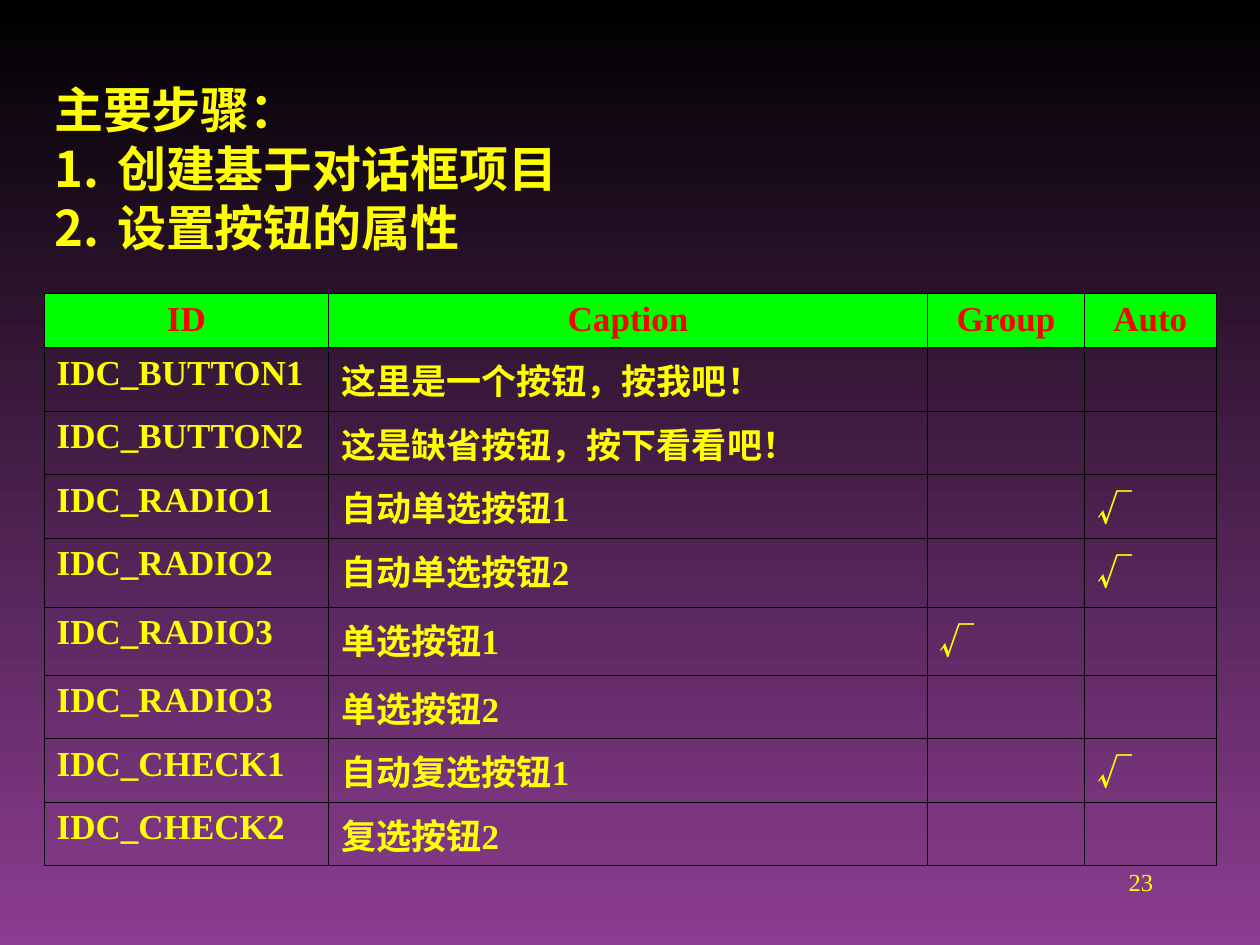
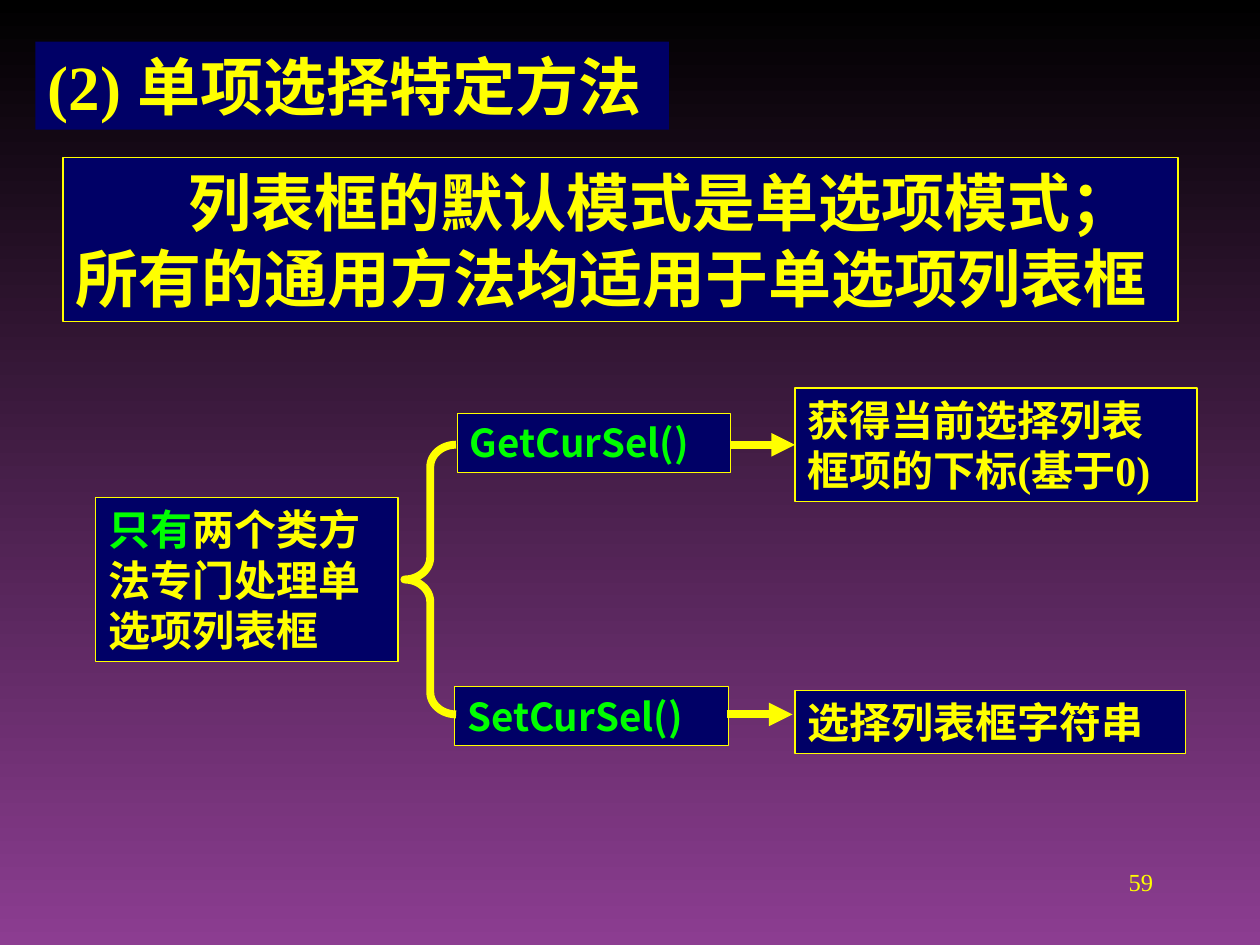
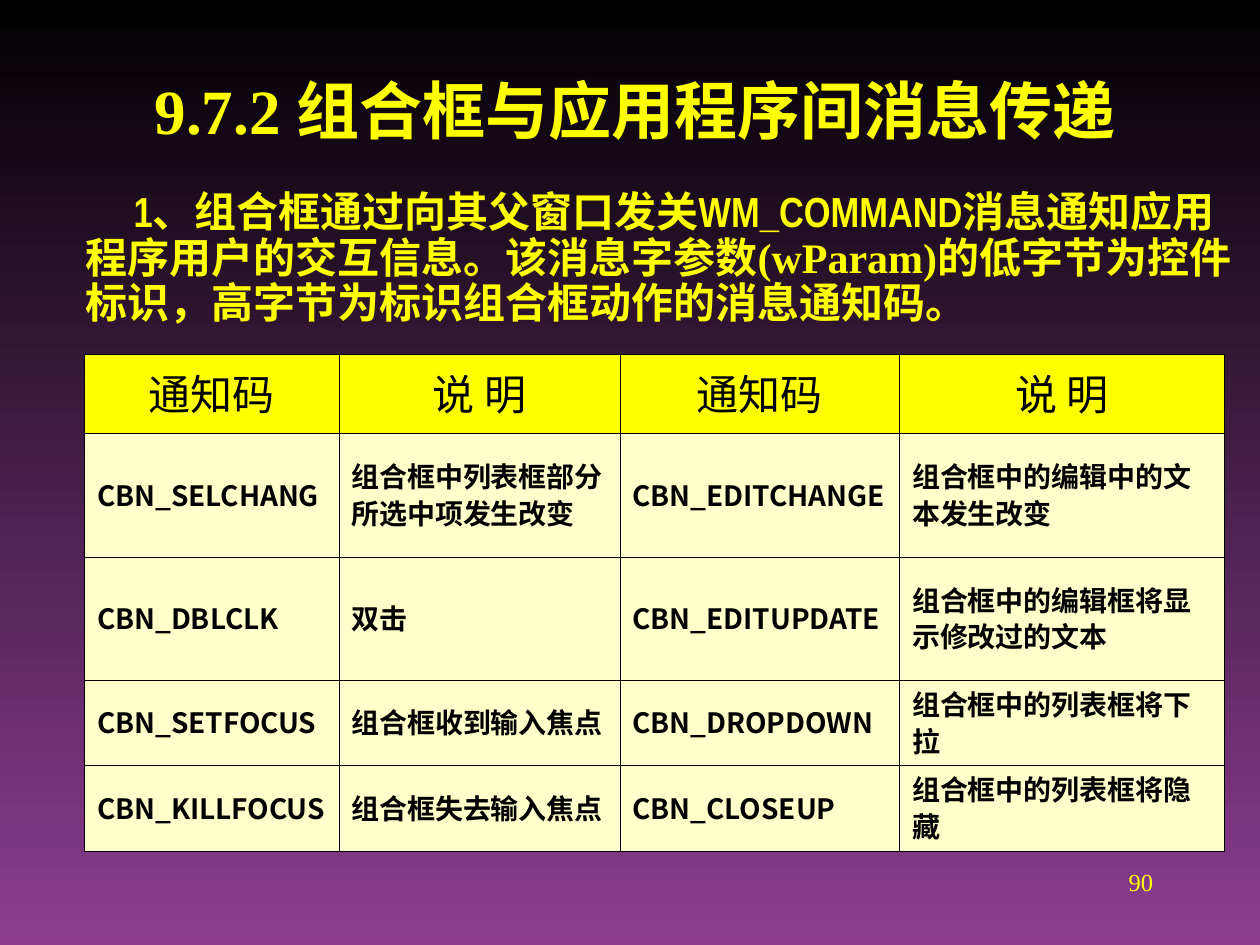
from dataclasses import dataclass

from lxml import etree
from pptx import Presentation
from pptx.dml.color import RGBColor
from pptx.enum.shapes import MSO_CONNECTOR, MSO_SHAPE
from pptx.enum.text import MSO_ANCHOR, MSO_AUTO_SIZE, PP_ALIGN
from pptx.oxml.ns import qn
from pptx.util import Inches, Pt

LEFT, CENTER, RIGHT = PP_ALIGN.LEFT, PP_ALIGN.CENTER, PP_ALIGN.RIGHT
TOP, MIDDLE = MSO_ANCHOR.TOP, MSO_ANCHOR.MIDDLE
RECT, BRACE = MSO_SHAPE.RECTANGLE, MSO_SHAPE.LEFT_BRACE
STRAIGHT = MSO_CONNECTOR.STRAIGHT
TITLE_CONTENT, TITLE_ONLY = 1, 5


@dataclass(frozen=True)
class Theme:
    black: str = "000000"
    purple: str = "8C3D91"
    yellow: str = "FFFF00"
    green: str = "00FF00"
    red: str = "FF0000"
    navy: str = "000066"
    cream: str = "FFFFCC"
    serif: str = "Times New Roman"
    sans: str = "Noto Sans CJK SC"
    narrow: str = "Arial Narrow"
    title: int = 36
    steps: int = 28
    body: int = 24
    method: int = 22
    grid: int = 20
    code: int = 16
    page: int = 14
    thin: float = 0.75
    thick: float = 4.5
    border: float = 0.45


T = Theme()

STEPS_HEAD = "主要步骤："
STEPS = ["创建基于对话框项目", "设置按钮的属性"]
CONTROLS = [
    ("ID", "Caption", "Group", "Auto"),
    ("IDC_BUTTON1", "这里是一个按钮，按我吧！", "", ""),
    ("IDC_BUTTON2", "这是缺省按钮，按下看看吧！", "", ""),
    ("IDC_RADIO1", "自动单选按钮1", "", "√"),
    ("IDC_RADIO2", "自动单选按钮2", "", "√"),
    ("IDC_RADIO3", "单选按钮1", "√", ""),
    ("IDC_RADIO3", "单选按钮2", "", ""),
    ("IDC_CHECK1", "自动复选按钮1", "", "√"),
    ("IDC_CHECK2", "复选按钮2", "", ""),
]
CONTROL_COLS = [2.26, 4.75, 1.25, 1.04]
CONTROL_ROWS = [0.43] * 4 + [0.55, 0.54] + [0.43] * 3

SELECT_TITLE = "(2) 单项选择特定方法"
SELECT_INTRO = "列表框的默认模式是单选项模式；所有的通用方法均适用于单选项列表框"
SELECT_ROOT = ("只有", "两个类方法专门处理单选项列表框")
# method, its box, result, its box, arrow (x1, x2, y)
BRANCHES = [
    ("GetCurSel()", (3.63, 3.28, 2.17, 0.47),
     "获得当前选择列表框项的下标(基于0)", (6.31, 3.08, 3.19, 0.9), (5.8, 6.31, 3.53)),
    ("SetCurSel()", (3.61, 5.45, 2.17, 0.47),
     "选择列表框字符串", (6.31, 5.48, 3.1, 0.5), (5.77, 6.29, 5.67)),
]

COMBO_TITLE = ("9.7.2 ", "组合框与应用程序间消息传递")
COMBO_BODY = (
    "1、组合框通过向其父窗口发关WM_COMMAND消息通知应用程序用户的交互信息。",
    "该消息字参数(wParam)的低字节为控件标识，高字节为标识组合框动作的消息通知码。",
)
NOTICES = [
    ("通知码", "说 明", "通知码", "说 明"),
    ("CBN_SELCHANG", "组合框中列表框部分所选中项发生改变",
     "CBN_EDITCHANGE", "组合框中的编辑中的文本发生改变"),
    ("CBN_DBLCLK", "双击", "CBN_EDITUPDATE", "组合框中的编辑框将显示修改过的文本"),
    ("CBN_SETFOCUS", "组合框收到输入焦点", "CBN_DROPDOWN", "组合框中的列表框将下拉"),
    ("CBN_KILLFOCUS", "组合框失去输入焦点", "CBN_CLOSEUP", "组合框中的列表框将隐藏"),
]
NOTICE_COLS = [2.02, 2.23, 2.22, 2.58]
NOTICE_ROWS = [0.63, 0.98, 0.98, 0.63, 0.63]


def rgb(color):
    return RGBColor.from_string(color)


def add_run(p, text, size, font=T.serif, color=T.yellow, bold=True):
    r = p.add_run()
    r.text = text
    r.font.size, r.font.name, r.font.bold = Pt(size), font, bold
    r.font.color.rgb = rgb(color)


def set_indent(p, margin, first, number=False):
    pPr = p._p.get_or_add_pPr()
    pPr.set("marL", str(Inches(margin)))
    pPr.set("indent", str(Inches(first)))
    if number:
        clr = etree.SubElement(pPr, qn("a:buClr"))
        etree.SubElement(clr, qn("a:srgbClr"), val=T.yellow)
        etree.SubElement(pPr, qn("a:buFont"), typeface=T.sans)
        etree.SubElement(pPr, qn("a:buAutoNum"), type="arabicPeriod")
    else:
        etree.SubElement(pPr, qn("a:buNone"))


def place(sp, box, anchor=TOP, wrap=True):
    """Move a shape to box (inches) and return its first paragraph."""
    sp.left, sp.top, sp.width, sp.height = map(Inches, box)
    tf = sp.text_frame
    tf.auto_size, tf.word_wrap, tf.vertical_anchor = MSO_AUTO_SIZE.NONE, wrap, anchor
    p = tf.paragraphs[0]
    p.space_before = Pt(0)
    return p


def add_box(slide, box):
    sp = slide.shapes.add_shape(RECT, 0, 0, 0, 0)
    sp.shadow.inherit = False
    sp.fill.solid()
    sp.fill.fore_color.rgb = rgb(T.navy)
    sp.line.color.rgb, sp.line.width = rgb(T.yellow), Pt(T.thin)
    p = place(sp, box)
    p.alignment = LEFT
    return p


def add_arrow(slide, x1, x2, y):
    line = slide.shapes.add_connector(STRAIGHT, *map(Inches, (x1, y, x2, y)))
    line.line.color.rgb, line.line.width = rgb(T.yellow), Pt(T.thick)
    etree.SubElement(line.line._get_or_add_ln(), qn("a:tailEnd"), type="triangle")
    etree.SubElement(line._element.spPr, qn("a:effectLst"))


def set_borders(cell):
    tcPr = cell._tc.get_or_add_tcPr()
    for i, side in enumerate(("lnL", "lnR", "lnT", "lnB")):
        ln = etree.Element(qn(f"a:{side}"), w=str(Pt(T.border)))
        fill = etree.SubElement(ln, qn("a:solidFill"))
        etree.SubElement(fill, qn("a:srgbClr"), val=T.black)
        tcPr.insert(i, ln)


def add_grid(slide, at, cols, heights, rows, head_fill, body_fill, anchor, write):
    """Add a ruled table; write(p, text, is_head) fills each cell that has text."""
    size = (sum(cols), sum(heights))
    table = slide.shapes.add_table(len(rows), len(cols), *map(Inches, at + size)).table
    table.first_row = table.horz_banding = False
    for col, width in zip(table.columns, cols):
        col.width = Inches(width)
    for i, (row, height, texts) in enumerate(zip(table.rows, heights, rows)):
        row.height = Inches(height)
        fill = body_fill if i else head_fill
        for cell, text in zip(row.cells, texts):
            cell.vertical_anchor = anchor
            if fill:
                cell.fill.solid()
                cell.fill.fore_color.rgb = rgb(fill)
            else:
                cell.fill.background()
            set_borders(cell)
            if text:
                p = cell.text_frame.paragraphs[0]
                p.alignment = LEFT if i else CENTER
                write(p, text, i == 0)


def write_control(p, text, is_head):
    add_run(p, text, T.grid, T.sans if text == "√" else T.serif,
            T.red if is_head else T.yellow)


def write_notice(p, text, is_head):
    p.line_spacing = 0.9
    add_run(p, text, T.body if is_head else T.code, T.sans, T.black, not is_head)


def add_slide(prs, layout, page):
    slide = prs.slides.add_slide(prs.slide_layouts[layout])
    p = place(slide.shapes.add_textbox(0, 0, 0, 0), (7.17, 6.83, 2.08, 0.5))
    p.alignment = RIGHT
    add_run(p, str(page), T.page, bold=False)
    return slide


def build_steps(prs):
    slide = add_slide(prs, TITLE_CONTENT, 23)
    title = slide.shapes.title._element
    title.getparent().remove(title)
    body = slide.placeholders[1]
    p = place(body, (0.33, 0.58, 4.24, 1.5))
    for i, text in enumerate([STEPS_HEAD] + STEPS):
        if i:
            p = body.text_frame.add_paragraph()
            p.space_before = Pt(0)
        set_indent(p, 0.5, -0.5, number=i > 0)
        add_run(p, text, T.steps, T.narrow)
    add_grid(slide, (0.35, 2.33), CONTROL_COLS, CONTROL_ROWS, CONTROLS,
             T.green, None, TOP, write_control)


def build_selection(prs):
    slide = add_slide(prs, TITLE_ONLY, 59)
    title = slide.shapes.title
    title.fill.solid()
    title.fill.fore_color.rgb = rgb(T.navy)
    p = place(title, (0.28, 0.33, 5.03, 0.7), TOP, wrap=False)
    p.alignment = LEFT
    add_run(p, SELECT_TITLE, T.title)

    p = add_box(slide, (0.5, 1.25, 8.85, 1.3))
    set_indent(p, 0, 0.9)
    add_run(p, SELECT_INTRO, T.title)

    p = add_box(slide, (0.76, 3.95, 2.4, 1.3))
    for text, color in zip(SELECT_ROOT, (T.green, T.yellow)):
        add_run(p, text, T.body, color=color)

    for method, method_box, result, result_box, arrow in BRANCHES:
        add_run(add_box(slide, method_box), method, T.method, T.sans, T.green)
        add_run(add_box(slide, result_box), result, T.body)
        add_arrow(slide, *arrow)

    brace = slide.shapes.add_shape(BRACE, *map(Inches, (3.21, 3.53, 0.41, 2.14)))
    brace.shadow.inherit = False
    brace.fill.background()
    brace.line.color.rgb, brace.line.width = rgb(T.yellow), Pt(T.thick)
    brace.adjustments[0] = 0.43


def build_combo(prs):
    slide = add_slide(prs, TITLE_CONTENT, 90)
    p = place(slide.shapes.title, (0.75, 0.42, 8.58, 0.89), MIDDLE)
    p.alignment = CENTER
    for text, font in zip(COMBO_TITLE, (T.serif, T.sans)):
        add_run(p, text, T.title, font)

    p = place(slide.placeholders[1], (0.2, 1.47, 9.8, 1.26))
    p.line_spacing = 0.9
    set_indent(p, 0.38, 0.38)
    for text, font in zip(COMBO_BODY, (T.narrow, T.serif)):
        add_run(p, text, T.body, font)
    add_grid(slide, (0.67, 2.81), NOTICE_COLS, NOTICE_ROWS, NOTICES,
             T.yellow, T.cream, MIDDLE, write_notice)


def main():
    prs = Presentation()
    prs.slide_width, prs.slide_height = Inches(10), Inches(7.5)
    fill = prs.slide_master.background.fill
    fill.gradient()
    fill.gradient_angle = 270
    for stop, color, position in zip(fill.gradient_stops, (T.black, T.purple), (0, 1)):
        stop.color.rgb, stop.position = rgb(color), position
    build_steps(prs)
    build_selection(prs)
    build_combo(prs)
    prs.save("out.pptx")


if __name__ == "__main__":
    main()
